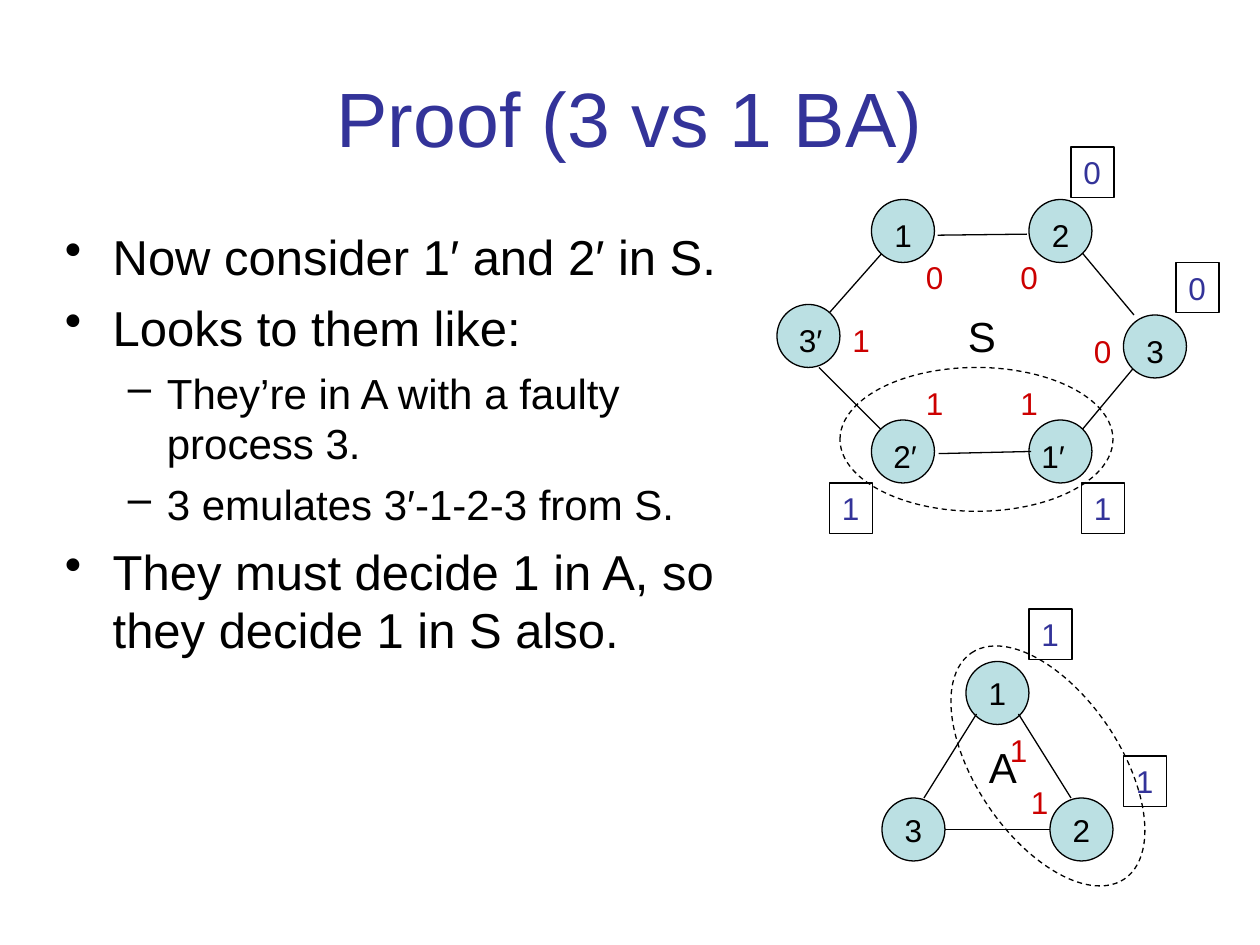
from lxml.etree import SubElement as Sub
from pptx import Presentation
from pptx.dml.color import RGBColor as Rgb
from pptx.enum.dml import MSO_LINE as Dash
from pptx.enum.shapes import MSO_CONNECTOR as Link, MSO_SHAPE as Kind
from pptx.enum.text import MSO_ANCHOR as Anchor, MSO_AUTO_SIZE as Fit, PP_ALIGN as Align
from pptx.oxml.ns import qn
from pptx.util import Inches, Pt

HUES = {"ink": "000000", "head": "333399", "node": "BBE0E3", "tag": "CC0000"}
CELL = Inches(1) / 12
NODE = 6
TAG = (4.1, 4.8)
NAME = (5, 6)
OVAL = (26, 13.7)


def hue(name):
    return Rgb.from_string(HUES[name])


def grid(*cells):
    return [round(c * CELL) for c in cells]


def style(para, size, color):
    para.font.size = Pt(size)
    para.font.name = "Arial"
    para.font.color.rgb = hue(color)


def write(shape, text, color="ink", size=18, align=Align.LEFT, anchor=Anchor.TOP):
    frame = shape.text_frame
    frame.word_wrap = False
    frame.vertical_anchor = anchor
    para = frame.paragraphs[0]
    para.text = text
    para.alignment = align
    style(para, size, color)


def label(slide, x, y, text, color="ink", size=18, span=TAG):
    box = slide.shapes.add_textbox(*grid(x, y, *span))
    write(box, text, color, size)
    box.text_frame.auto_size = Fit.SHAPE_TO_FIT_TEXT


def shape(slide, kind, x, y, w, h, fill=None):
    item = slide.shapes.add_shape(kind, *grid(x, y, w, h))
    item.shadow.inherit = False
    if fill:
        item.fill.solid()
        item.fill.fore_color.rgb = hue(fill)
    else:
        item.fill.background()
    item.line.color.rgb = hue("ink")
    item.line.width = Pt(0.75)
    return item


def edge(slide, x, y, ends):
    a, b, c, d = ends
    line = slide.shapes.add_connector(Link.STRAIGHT, *grid(x + a, y + b, x + c, y + d))
    line.line.color.rgb = hue("ink")
    line.line.width = Pt(0.75)
    Sub(line._element.spPr, qn("a:effectLst"))


def oval(slide, x, y, turn=0):
    item = shape(slide, Kind.OVAL, x, y, *OVAL)
    item.rotation = turn
    item.line.dash_style = Dash.DASH


def marks(slide, x, y, tags, votes):
    for dx, dy, text in tags:
        label(slide, x + dx, y + dy, text, "tag")
    for dx, dy, text in votes:
        write(shape(slide, Kind.RECTANGLE, x + dx, y + dy, *TAG), text, "head")


def title(slide, box, text):
    head = slide.shapes.title
    head.left, head.top, head.width, head.height = grid(*box)
    head.text_frame.vertical_anchor = Anchor.MIDDLE
    para = head.text_frame.paragraphs[0]
    para.text = text
    para.alignment = Align.CENTER
    style(para, 44, "head")


def points(slide, box, items):
    levels = [("•", 0.38, 0.38, 28, 7), ("–", 0.81, 0.31, 24, 6)]
    frame = slide.shapes.add_textbox(*grid(*box)).text_frame
    frame.word_wrap = True
    for i, (level, text) in enumerate(items):
        mark, left, hang, size, gap = levels[level]
        para = frame.add_paragraph() if i else frame.paragraphs[0]
        para.text = text
        para.level = level
        para.space_before = Pt(gap if i else 0)
        props = para._p.get_or_add_pPr()
        props.set("marL", str(Inches(left)))
        props.set("indent", str(-Inches(hang)))
        Sub(props, qn("a:buChar")).set("char", mark)
        style(para, size, "ink")


def ring(slide, x, y):
    nodes = [(9, 0, "1", 1), (24, 0, "2", 1), (33, 11, "3", 1),
             (24, 21, "1′", 0), (9, 21, "2′", 0.9), (0, 10, "3′", 0.9)]
    edges = [(29, 5, 34, 11), (15.3, 3.4, 23.8, 3.3), (29, 22, 34, 16),
             (4, 16, 10, 22), (4.8, 11, 10.1, 5)]
    for ends in edges:
        edge(slide, x, y, ends)
    for dx, dy, _, _ in nodes:
        shape(slide, Kind.OVAL, x + dx, y + dy, NODE, NODE, "node")
    edge(slide, x, y, (15.4, 24.2, 24.2, 24))
    for dx, dy, text, inset in nodes:
        label(slide, x + dx + inset, y + dy + 1, text, span=(5, 4.8))
    label(slide, x + 17, y + 10, "S", size=24, span=NAME)
    oval(slide, x + 6, y + 16)
    tags = [(13, 5, "0"), (22, 5, "0"), (29, 12, "0"),
            (22, 17, "1"), (13, 17, "1"), (6, 11, "1")]
    votes = [(28, -5, "0"), (38, 6, "0"), (5, 27, "1"), (29, 27, "1")]
    marks(slide, x, y, tags, votes)


def triad(slide, x, y):
    for dx, dy, text in [(0, 13, "3"), (16, 13, "2"), (8, 0, "1")]:
        node = shape(slide, Kind.OVAL, x + dx, y + dy, NODE, NODE, "node")
        write(node, text, align=Align.CENTER, anchor=Anchor.MIDDLE)
    for ends in [(4, 13, 9, 5), (6, 16, 16, 16), (18, 13, 13, 5)]:
        edge(slide, x, y, ends)
    label(slide, x + 9, y + 7, "A", size=24, span=NAME)
    oval(slide, x + 2.8, y + 3.1, 55.9)
    marks(slide, x, y, [(11, 6, "1"), (13, 11, "1")], [(14, -5, "1"), (23, 9, "1")])


def main():
    deck = Presentation()
    deck.slide_width, deck.slide_height = grid(120, 90)
    slide = deck.slides.add_slide(deck.slide_layouts[5])
    title(slide, (6, 3.6, 108, 15), "Proof (3 vs 1 BA)")
    points(slide, (5, 21, 66, 52), [
        (0, "Now consider 1′ and 2′ in S."),
        (0, "Looks to them like:"),
        (1, "They’re in A with a faulty process 3."),
        (1, "3 emulates 3′-1-2-3 from S."),
        (0, "They must decide 1 in A, so they decide 1 in S also."),
    ])
    ring(slide, 74, 19)
    triad(slide, 84, 63)
    deck.save("out.pptx")


if __name__ == "__main__":
    main()
